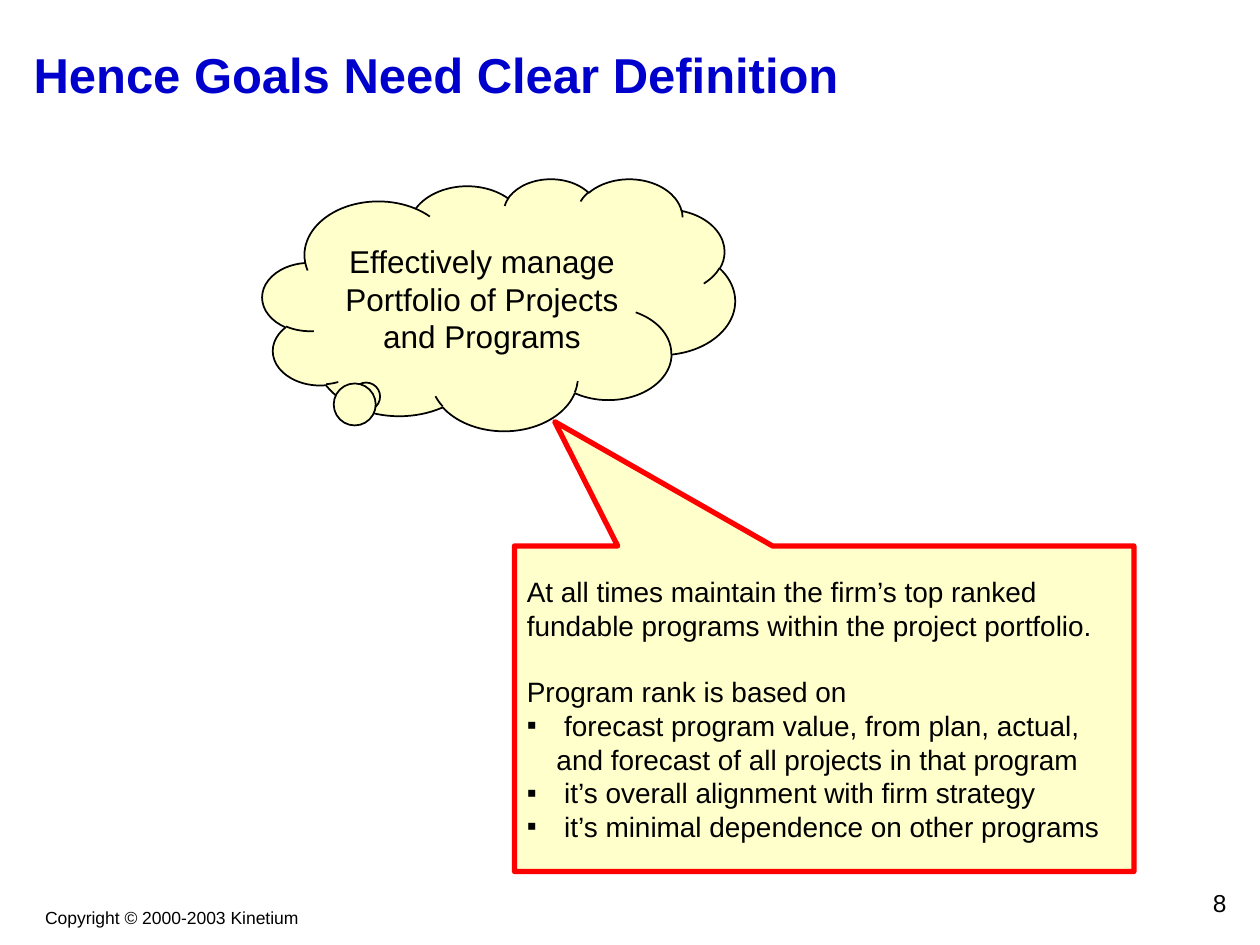
import pptx
import pptx.util
import pptx.dml.color
import pptx.enum.shapes
import pptx.enum.text
from lxml import etree
from pptx.oxml.ns import qn

RGBColor = pptx.dml.color.RGBColor
Shape = pptx.enum.shapes.MSO_SHAPE
Align = pptx.enum.text.PP_ALIGN
Anchor = pptx.enum.text.MSO_ANCHOR

BLACK = RGBColor(0, 0, 0)
BLUE = RGBColor(0, 0, 204)
RED = RGBColor(255, 0, 0)
CREAM = RGBColor(255, 255, 204)

COLUMNS, ROWS = 120, 90
WIDTH, HEIGHT = pptx.util.Inches(10), pptx.util.Inches(7.5)
HANGING = pptx.util.Inches(0.235)


def grid(left, top, width, height):
    across, down = WIDTH / COLUMNS, HEIGHT / ROWS
    return [int(length) for length in (left * across, top * down, width * across, height * down)]


def style(para, size, align=Align.LEFT, color=BLACK, bold=False):
    para.alignment = align
    para.font.name = "Arial"
    para.font.size = pptx.util.Pt(size)
    para.font.bold = bold
    para.font.color.rgb = color


def add_bullet(para):
    properties = para._p.get_or_add_pPr()
    properties.set("marL", str(HANGING))
    properties.set("indent", str(-HANGING))
    etree.SubElement(properties, qn("a:buFont"), typeface="Arial")
    etree.SubElement(properties, qn("a:buChar"), char="▪")


def set_title(page, text):
    title = page.shapes.title
    title.left, title.top, title.width, title.height = grid(2, 2, 116, 10)
    title.text_frame.text = text
    title.text_frame.vertical_anchor = Anchor.MIDDLE
    style(title.text_frame.paragraphs[0], 28, color=BLUE, bold=True)


def add_label(page, place, text, size, align, wrap=True):
    box = page.shapes.add_textbox(*grid(*place))
    box.text_frame.word_wrap = wrap
    box.text_frame.text = text
    style(box.text_frame.paragraphs[0], size, align)


def add_callout(page, kind, place, pointer, line_color, line_width):
    callout = page.shapes.add_shape(kind, *grid(*place))
    callout.shadow.inherit = False
    callout.adjustments[0], callout.adjustments[1] = pointer
    callout.fill.solid()
    callout.fill.fore_color.rgb = CREAM
    callout.line.color.rgb = line_color
    callout.line.width = pptx.util.Pt(line_width)
    callout.text_frame.word_wrap = True
    callout.text_frame.vertical_anchor = Anchor.MIDDLE
    return callout.text_frame


def write_definition(frame, statement, heading, points):
    frame.text = "\n".join([statement, heading, *points])
    for para in frame.paragraphs[2:]:
        add_bullet(para)
    for para in frame.paragraphs:
        style(para, 16)
    frame.paragraphs[1].space_before = pptx.util.Pt(19)


def main():
    deck = pptx.Presentation()
    deck.slide_width, deck.slide_height = WIDTH, HEIGHT
    page = deck.slides.add_slide(deck.slide_layouts[5])

    set_title(page, "Hence Goals Need Clear Definition")
    add_label(page, (3.1, 85.8, 26.5, 3.2), "Copyright © 2000-2003 Kinetium", 10, Align.CENTER, wrap=False)

    goal = add_callout(page, Shape.CLOUD_CALLOUT, (25, 17, 45, 24), (-0.281, 0.366), BLACK, 1)
    goal.text = "Effectively manage Portfolio of Projects and Programs"
    style(goal.paragraphs[0], 18, Align.CENTER)

    definition = add_callout(
        page, Shape.RECTANGULAR_CALLOUT, (49, 52, 59, 31), (-0.435, -0.882), RED, 3
    )
    write_definition(
        definition,
        "At all times maintain the firm’s top ranked fundable programs within the project portfolio.",
        "Program rank is based on",
        [
            " forecast program value, from plan, actual, and forecast of all projects in that program",
            " it’s overall alignment with firm strategy",
            " it’s minimal dependence on other programs",
        ],
    )

    add_label(page, (93, 84, 25, 4), "8", 14, Align.RIGHT)
    deck.save("out.pptx")


if __name__ == "__main__":
    main()
